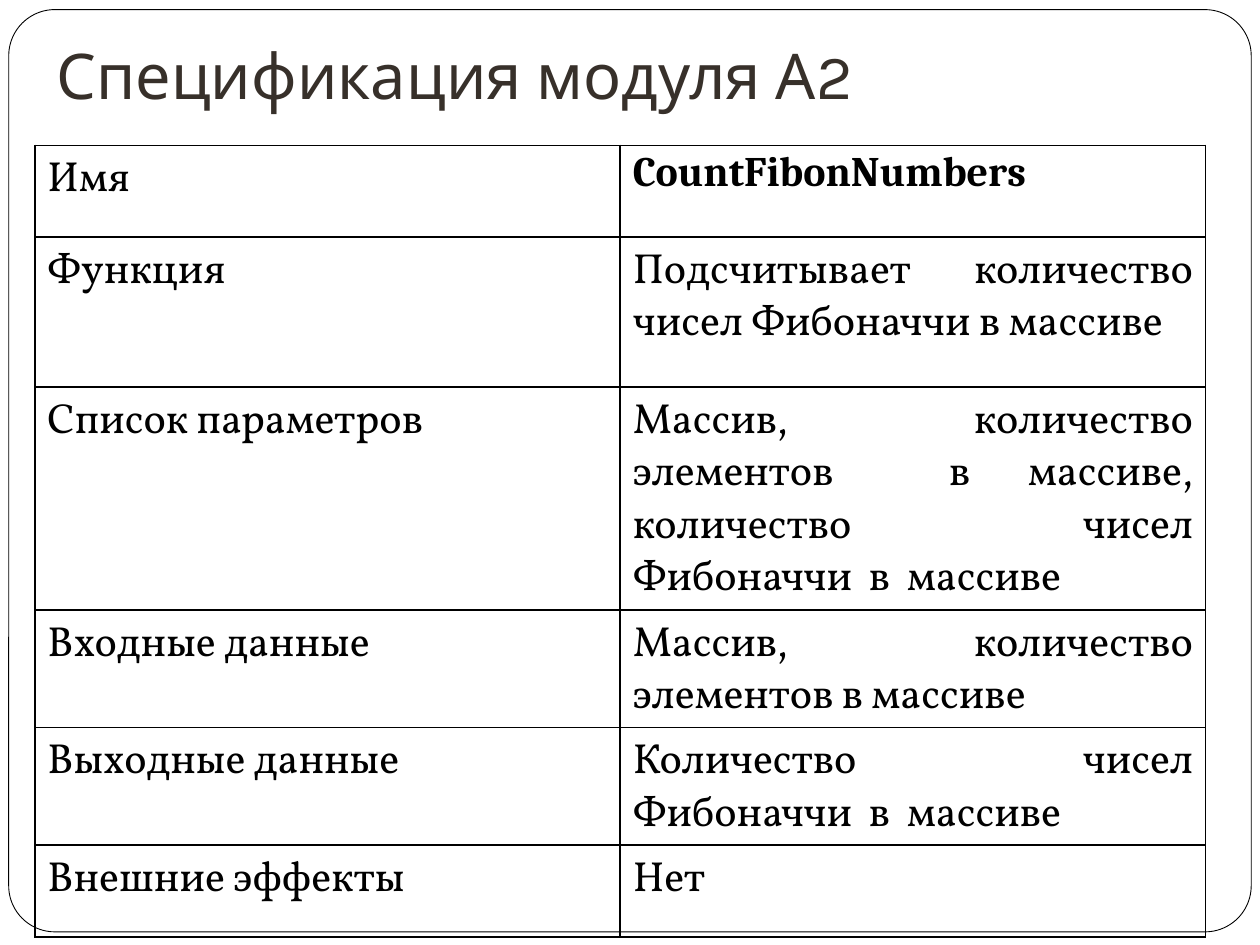
from dataclasses import dataclass

from lxml import etree
from pptx import Presentation
from pptx.dml.color import RGBColor
from pptx.enum.shapes import MSO_SHAPE
from pptx.enum.text import MSO_ANCHOR, PP_ALIGN
from pptx.oxml.ns import qn
from pptx.util import Pt


@dataclass(frozen=True)
class Theme:
    paper: str = "FFFFFF"
    ink: str = "000000"
    title: str = "37302A"
    title_font: str = "Karla"
    body_font: str = "Vollkorn"
    code_font: str = "Cambria"
    title_size: float = 36
    body_size: float = 24
    frame_width: float = 0.5
    border_width: float = 1


THEME = Theme()

# Label, value and row height
SPECIFICATION = [
    ("Имя", "CountFibonNumbers", 52.5),
    ("Функция", "Подсчитывает количество чисел Фибоначчи в массиве", 85.7),
    ("Список параметров",
     "Массив, количество элементов  в массиве, "
     "количество чисел Фибоначчи  в  массиве", 127.4),
    ("Входные данные", "Массив, количество элементов в массиве", 67.2),
    ("Выходные данные", "Количество чисел Фибоначчи  в  массиве", 67.2),
    ("Внешние эффекты", "Нет", 52.5),
]


def style_run(run, font, size, color, bold=False):
    run.font.name = font
    run.font.size = Pt(size)
    run.font.bold = bold
    run.font.color.rgb = RGBColor.from_string(color)


def add_frame(slide):
    frame = slide.shapes.add_shape(
        MSO_SHAPE.ROUNDED_RECTANGLE, Pt(5), Pt(5.5), Pt(710), Pt(527))
    frame.adjustments[0] = 0.05
    frame.shadow.inherit = False
    frame.fill.solid()
    frame.fill.fore_color.rgb = RGBColor.from_string(THEME.paper)
    frame.line.color.rgb = RGBColor.from_string(THEME.ink)
    frame.line.width = Pt(THEME.frame_width)


def add_title(slide, text):
    box = slide.shapes.add_textbox(Pt(25.2), Pt(20), Pt(594), Pt(51.2))
    frame = box.text_frame
    frame.word_wrap = True
    frame.vertical_anchor = MSO_ANCHOR.BOTTOM
    frame.margin_bottom = Pt(7.2)
    run = frame.paragraphs[0].add_run()
    run.text = text
    style_run(run, THEME.title_font, THEME.title_size, THEME.title)


def set_borders(cell):
    properties = cell._tc.get_or_add_tcPr()
    for index, side in enumerate(("lnL", "lnR", "lnT", "lnB")):
        line = etree.Element(qn(f"a:{side}"), w=str(Pt(THEME.border_width)))
        fill = etree.SubElement(line, qn("a:solidFill"))
        etree.SubElement(fill, qn("a:srgbClr"), val=THEME.ink)
        properties.insert(index, line)


def fill_cell(cell, text, font, bold=False):
    cell.fill.background()
    set_borders(cell)
    paragraph = cell.text_frame.paragraphs[0]
    paragraph.alignment = PP_ALIGN.JUSTIFY
    paragraph.line_spacing = 0.9
    run = paragraph.add_run()
    run.text = text
    style_run(run, font, THEME.body_size, THEME.ink, bold)


def add_specification(slide, entries):
    column_width = 334.5
    height = sum(entry[2] for entry in entries)
    table = slide.shapes.add_table(
        len(entries), 2, Pt(19.9), Pt(83), Pt(2 * column_width), Pt(height)).table
    table.first_row = False
    table.horz_banding = False
    for column in table.columns:
        column.width = Pt(column_width)
    for index, (label, value, row_height) in enumerate(entries):
        table.rows[index].height = Pt(row_height)
        is_name = index == 0
        value_font = THEME.code_font if is_name else THEME.body_font
        fill_cell(table.cell(index, 0), label, THEME.body_font)
        fill_cell(table.cell(index, 1), value, value_font, bold=is_name)


def main():
    presentation = Presentation()
    presentation.slide_width, presentation.slide_height = Pt(720), Pt(540)
    slide = presentation.slides.add_slide(presentation.slide_layouts[6])

    # Border around the slide
    add_frame(slide)
    # Heading
    add_title(slide, "Спецификация модуля А2")
    # Module description
    add_specification(slide, SPECIFICATION)

    presentation.save("out.pptx")


main()
